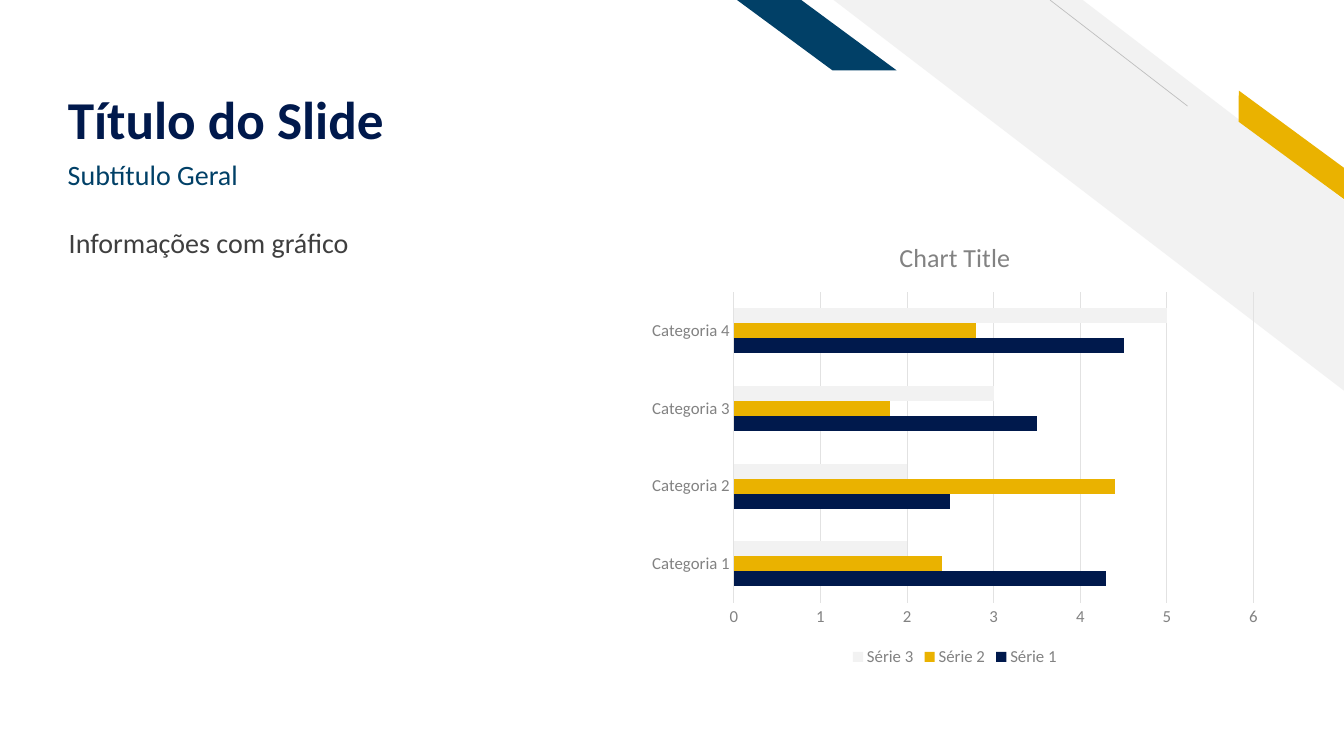
from lxml import etree
from pptx import Presentation
from pptx.chart.data import CategoryChartData
from pptx.dml.color import RGBColor
from pptx.enum.chart import XL_CHART_TYPE, XL_LEGEND_POSITION, XL_TICK_MARK
from pptx.enum.shapes import MSO_CONNECTOR, MSO_SHAPE
from pptx.enum.text import MSO_ANCHOR, MSO_AUTO_SIZE, PP_ALIGN
from pptx.oxml.ns import qn
from pptx.util import Emu, Pt

NAVY = RGBColor(0x00, 0x19, 0x4C)
TEAL = RGBColor(0x01, 0x40, 0x67)
GOLD = RGBColor(0xEA, 0xB2, 0x00)
PALE = RGBColor(0xF2, 0xF2, 0xF2)
SILVER = RGBColor(0xBF, 0xBF, 0xBF)
GRID = RGBColor(0xE2, 0xE2, 0xE2)
GRAY = RGBColor(0x82, 0x82, 0x82)
DARK = RGBColor(0x3F, 0x3F, 0x3F)

STRIPE = MSO_SHAPE.DIAGONAL_STRIPE
SLANT = MSO_SHAPE.PARALLELOGRAM
STRAIGHT = MSO_CONNECTOR.STRAIGHT
TOP, BOTTOM = MSO_ANCHOR.TOP, MSO_ANCHOR.BOTTOM
LEFT = PP_ALIGN.LEFT
NO_FIT = MSO_AUTO_SIZE.NONE
BARS = XL_CHART_TYPE.BAR_CLUSTERED
BELOW = XL_LEGEND_POSITION.BOTTOM
NO_TICK = XL_TICK_MARK.NONE

FONT = "Calibri"
SCALE = 9525  # EMU in one px, 96 px to the inch
WIDTH, HEIGHT = 1280, 720

GROUPS = ["Categoria 1", "Categoria 2", "Categoria 3", "Categoria 4"]
SERIES = [
    ("Série 1", (4.3, 2.5, 3.5, 4.5), NAVY),
    ("Série 2", (2.4, 4.4, 1.8, 2.8), GOLD),
    ("Série 3", (2, 2, 3, 5), PALE),
]


def px(*sizes):
    """Turn px lengths into EMU."""
    return [Emu(size * SCALE) for size in sizes]


def style(font, size, color, bold=False):
    font.name, font.size, font.bold = FONT, Pt(size), bold
    font.color.rgb = color


def stroke(line, color, width):
    line.color.rgb = color
    line.width = Pt(width)


class Page:
    def __init__(self, deck):
        self.slide = deck.slides.add_slide(deck.slide_layouts[5])
        self.shapes = self.slide.shapes

    def band(self, kind, box, adjust, color, turn=0):
        """Add a slanted band, mirrored left to right."""
        band = self.shapes.add_shape(kind, *px(*box))
        band.shadow.inherit = False
        band.adjustments[0] = adjust
        band.fill.solid()
        band.fill.fore_color.rgb = color
        band.line.fill.background()
        band.rotation = turn
        band._element.spPr.find(qn("a:xfrm")).set("flipH", "1")

    def line(self, ends, color, width):
        line = self.shapes.add_connector(STRAIGHT, *px(*ends))
        stroke(line.line, color, width)
        etree.SubElement(line._element.spPr, qn("a:effectLst"))

    def label(self, shape, words, size, color, anchor=TOP, bold=False):
        """Fill a shape's text frame with one styled run."""
        frame = shape.text_frame
        frame.word_wrap = True
        frame.auto_size = NO_FIT
        frame.vertical_anchor = anchor
        if anchor == BOTTOM:
            frame.margin_bottom = 0
        para = frame.paragraphs[0]
        para.alignment = LEFT
        run = para.add_run()
        run.text = words
        style(run.font, size, color, bold)

    def title(self, words, box, size, color):
        title = self.shapes.title
        title.left, title.top, title.width, title.height = px(*box)
        self.label(title, words, size, color, BOTTOM, True)

    def text(self, words, box, size, color):
        self.label(self.shapes.add_textbox(*px(*box)), words, size, color)

    def chart(self, box, heading, groups, series):
        data = CategoryChartData()
        data.categories = groups
        for name, values, _ in series:
            data.add_series(name, values)
        chart = self.shapes.add_chart(BARS, *px(*box), data).chart
        style(chart.font, 10, DARK)

        chart.has_title = True
        run = chart.chart_title.text_frame.paragraphs[0].add_run()
        run.text = heading
        style(run.font, 18.6, GRAY)
        chart.chart_title.include_in_layout = False

        plot = chart.plots[0]
        plot.gap_width = 219
        plot.vary_by_categories = False
        for bar, (_, _, color) in zip(plot.series, series):
            bar.format.fill.solid()
            bar.format.fill.fore_color.rgb = color

        for axis in (chart.category_axis, chart.value_axis):
            axis.major_tick_mark = axis.minor_tick_mark = NO_TICK
            style(axis.tick_labels.font, 12, GRAY)
        stroke(chart.category_axis.format.line, GRID, 0.75)
        scale = chart.value_axis
        scale.minimum_scale, scale.maximum_scale, scale.major_unit = 0, 6, 1
        scale.format.line.fill.background()
        stroke(scale.major_gridlines.format.line, GRID, 0.75)

        chart.has_legend = True
        chart.legend.position = BELOW
        chart.legend.include_in_layout = False
        style(chart.legend.font, 12, GRAY)


def main():
    deck = Presentation()
    deck.slide_width, deck.slide_height = px(WIDTH, HEIGHT)
    page = Page(deck)
    page.band(STRIPE, (794, 0, 486, 372), 0.512, PALE)
    page.line((1131, 101, 1000, 0), SILVER, 0.5)
    page.band(SLANT, (1159, 126, 142, 24), 0.72, GOLD, 36.3)
    page.band(SLANT, (702, 0, 152, 67), 1.356, TEAL)
    page.title("Título do Slide", (55, 22, 875, 121), 38, NAVY)
    page.text("Subtítulo Geral", (55, 145, 774, 64), 20, TEAL)
    page.text("Informações com gráfico", (56, 210, 548, 429), 20, DARK)
    page.chart((609, 210, 601, 429), "Chart Title", GROUPS, SERIES)
    deck.save("out.pptx")


if __name__ == "__main__":
    main()
